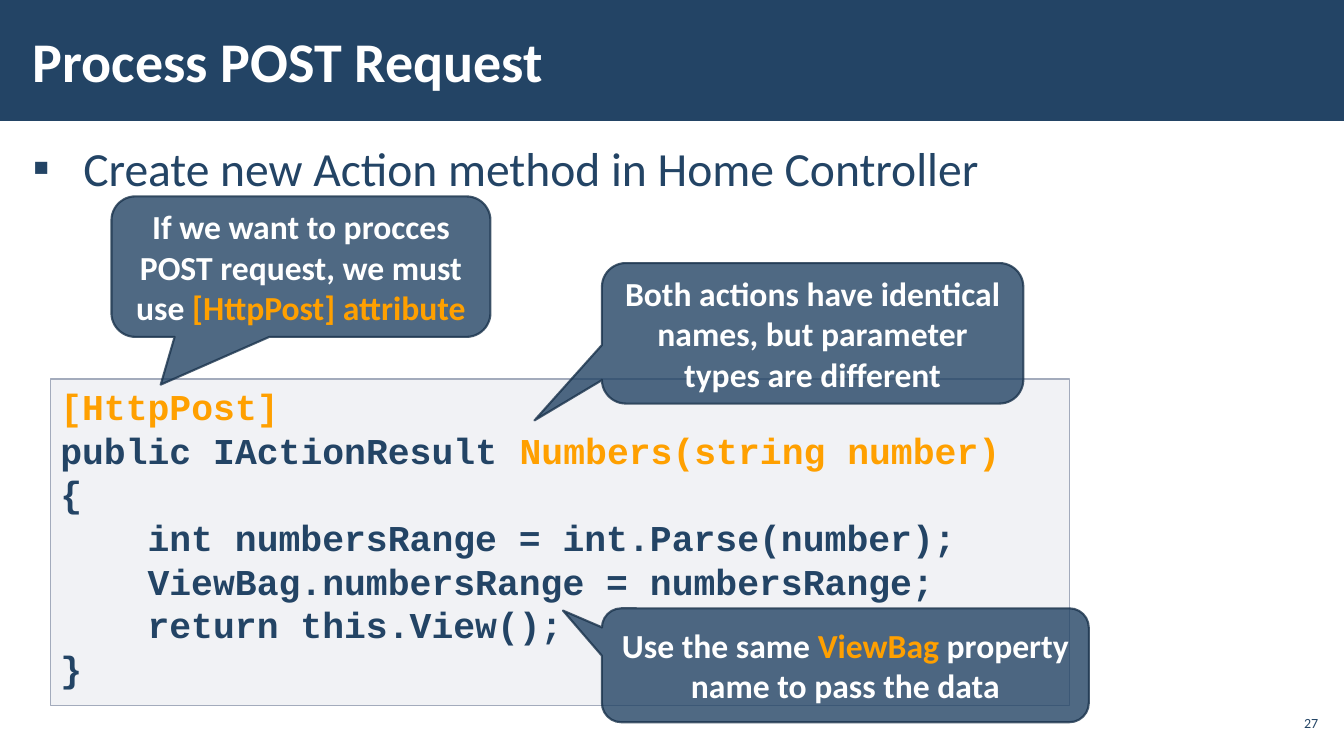
"""Build the "Process POST Request" slide: a code listing with three callouts."""
from dataclasses import dataclass

from lxml.etree import SubElement
from pptx import Presentation
from pptx.dml.color import RGBColor
from pptx.enum.shapes import MSO_SHAPE as Preset
from pptx.enum.text import MSO_ANCHOR as Anchor, PP_ALIGN as Align
from pptx.oxml.ns import qn
from pptx.util import Cm, Pt

NAVY, DARK, GREY = "234465", "1A334C", "A3ABBC"
WHITE, ORANGE = "FFFFFF", "FFA000"
SANS, MONO = "Calibri", "Courier New"
CODE_INDENT = Cm(2.2)
BULLET_INDENT = Cm(1.27)


@dataclass(frozen=True)
class Box:
    """Position and size in centimetres."""
    left: float
    top: float
    width: float
    height: float

    def lengths(self) -> tuple:
        return Cm(self.left), Cm(self.top), Cm(self.width), Cm(self.height)


@dataclass(frozen=True)
class Style:
    """Character format of a text block."""
    font: str
    size: float
    color: str
    bold: bool = False


@dataclass(frozen=True)
class Span:
    """A piece of text, highlighted or not."""
    text: str
    highlighted: bool = False


@dataclass(frozen=True)
class CodeLine:
    """A line of code with its nesting level."""
    spans: tuple[Span, ...]
    level: int = 0


@dataclass(frozen=True)
class Callout:
    """A speech bubble and the relative position of its tip."""
    box: Box
    tip: tuple[float, float]
    spans: tuple[Span, ...]


CODE = (
    CodeLine((Span("[HttpPost]", True),)),
    CodeLine((Span("public IActionResult "), Span("Numbers(string number)", True))),
    CodeLine((Span("{"),)),
    CodeLine((Span("int numbersRange = int.Parse(number);"),), 1),
    CodeLine((Span("ViewBag.numbersRange = numbersRange;"),), 1),
    CodeLine((Span("return this.View();"),), 1),
    CodeLine((Span("}"),)),
)

CALLOUTS = (
    Callout(Box(2.81, 4.95, 9.55, 3.54), (-0.37, 0.84),
            (Span("If we want to procces POST request, we must use "),
             Span("[HttpPost] attribute", True))),
    Callout(Box(15.17, 6.63, 10.62, 3.54), (-0.66, 0.62),
            (Span("Both actions have identical names, but parameter types are different"),)),
    Callout(Box(15.17, 15.33, 12.27, 2.87), (-0.58, -0.48),
            (Span("Use the same "), Span("ViewBag", True),
             Span(" property name to pass the data"))),
)


def rgb(color: str) -> RGBColor:
    return RGBColor.from_string(color)


def set_opacity(fill_parent, percent: int) -> None:
    color = fill_parent.find(qn("a:solidFill")).find(qn("a:srgbClr"))
    SubElement(color, qn("a:alpha"), val=str(percent * 1000))


def format_run(run, style: Style, color: str) -> None:
    run.font.name = style.font
    run.font.size = Pt(style.size)
    run.font.bold = style.bold
    run.font.color.rgb = rgb(color)


def write_spans(paragraph, spans: tuple[Span, ...], style: Style, align=Align.LEFT) -> None:
    paragraph.alignment = align
    for span in spans:
        run = paragraph.add_run()
        run.text = span.text
        format_run(run, style, ORANGE if span.highlighted else style.color)


def set_frame(text_frame, anchor, side: float = 0.25, edge: float = 0.13) -> None:
    text_frame.word_wrap = True
    text_frame.vertical_anchor = anchor
    text_frame.margin_left = text_frame.margin_right = Cm(side)
    text_frame.margin_top = text_frame.margin_bottom = Cm(edge)


def add_panel(slide, preset, box: Box, fill: str, opacity: int = 100):
    shape = slide.shapes.add_shape(preset, *box.lengths())
    shape.shadow.inherit = False
    shape.fill.solid()
    shape.fill.fore_color.rgb = rgb(fill)
    set_opacity(shape.element.spPr, opacity)
    shape.line.fill.background()
    return shape


def set_outline(shape, color: str, width: float, opacity: int = 100) -> None:
    shape.line.color.rgb = rgb(color)
    shape.line.width = Pt(width)
    set_opacity(shape.element.spPr.find(qn("a:ln")), opacity)


def add_heading(slide) -> None:
    banner = add_panel(slide, Preset.RECTANGLE, Box(0, 0, 33.87, 3.05), NAVY)
    title = slide.shapes.title
    title.element.addprevious(banner.element)
    title.left, title.top, title.width, title.height = Box(0.53, 0.28, 26.42, 2.46).lengths()
    set_frame(title.text_frame, Anchor.MIDDLE, 0.3, 0.1)
    write_spans(title.text_frame.paragraphs[0], (Span("Process POST Request"),),
                Style(SANS, 40, WHITE, True))


def add_text(slide, box: Box, text: str, size: float, anchor, side: float, align=Align.LEFT):
    text_frame = slide.shapes.add_textbox(*box.lengths()).text_frame
    set_frame(text_frame, anchor, side, 0.1)
    paragraph = text_frame.paragraphs[0]
    write_spans(paragraph, (Span(text),), Style(SANS, size, NAVY), align)
    return paragraph


def add_bullet(slide) -> None:
    paragraph = add_text(slide, Box(0.53, 3.33, 32.82, 14.45),
                         "Create new Action method in Home Controller", 34, Anchor.TOP, 0.3)
    paragraph.line_spacing = 1.05
    paragraph.space_before = paragraph.space_after = Pt(6)
    properties = paragraph._p.get_or_add_pPr()
    properties.set("marL", str(BULLET_INDENT))
    properties.set("indent", str(-BULLET_INDENT))
    SubElement(properties, qn("a:buFont"), typeface=SANS)
    SubElement(properties, qn("a:buChar"), char="▪")


def add_code(slide) -> None:
    shape = add_panel(slide, Preset.RECTANGLE, Box(1.27, 9.55, 25.68, 8.23), GREY, 15)
    set_outline(shape, GREY, 1)
    text_frame = shape.text_frame
    set_frame(text_frame, Anchor.TOP)
    style = Style(MONO, 26, NAVY, True)
    for index, line in enumerate(CODE):
        paragraph = text_frame.add_paragraph() if index else text_frame.paragraphs[0]
        write_spans(paragraph, line.spans, style)
        paragraph._p.get_or_add_pPr().set("marL", str(line.level * CODE_INDENT))


def add_callout(slide, callout: Callout) -> None:
    shape = add_panel(slide, Preset.ROUNDED_RECTANGULAR_CALLOUT, callout.box, NAVY, 80)
    set_outline(shape, DARK, 1.5, 80)
    for index, value in enumerate((*callout.tip, 0.17)):
        shape.adjustments[index] = value
    set_frame(shape.text_frame, Anchor.MIDDLE)
    write_spans(shape.text_frame.paragraphs[0], callout.spans,
                Style(SANS, 24, WHITE, True), Align.CENTER)


def main() -> None:
    presentation = Presentation()
    presentation.slide_width, presentation.slide_height = Cm(33.87), Cm(19.05)
    slide = presentation.slides.add_slide(presentation.slide_layouts[5])
    add_heading(slide)
    add_bullet(slide)
    add_text(slide, Box(32.13, 17.78, 1.19, 0.86), "27", 10, Anchor.MIDDLE, 0.1, Align.RIGHT)
    add_code(slide)
    for callout in CALLOUTS:
        add_callout(slide, callout)
    presentation.save("out.pptx")


if __name__ == "__main__":
    main()
